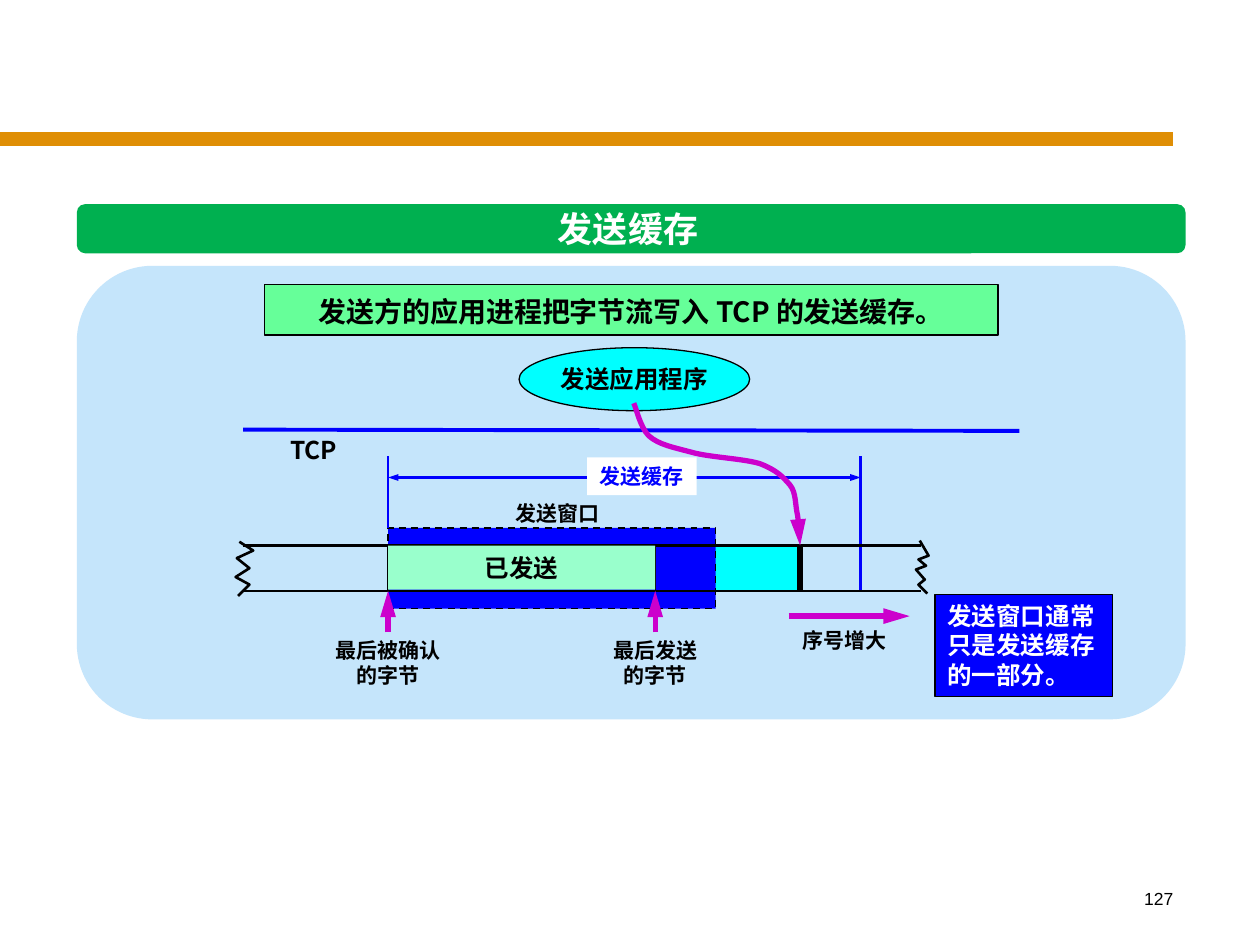
from dataclasses import dataclass

from lxml import etree
from pptx import Presentation
from pptx import util as u
from pptx.dml.color import RGBColor
from pptx.enum import dml, shapes, text
from pptx.oxml import ns

Inches = u.Inches
SHAPE = shapes.MSO_SHAPE


@dataclass(frozen=True)
class Theme:
    font: str = "Noto Sans CJK SC"
    number_font: str = "Arial"
    black: str = "000000"
    white: str = "FFFFFF"
    orange: str = "DF8E05"
    green: str = "00B050"
    panel: str = "C5E5FB"
    lime: str = "66FF99"
    mint: str = "99FFCC"
    cyan: str = "00FFFF"
    blue: str = "0000FF"
    magenta: str = "CC00CC"
    heading: int = 20
    banner: int = 16
    body: int = 14
    label: int = 12
    number: int = 10


T = Theme()
prs = Presentation()
prs.slide_width, prs.slide_height = Inches(10), Inches(7.5)
s = prs.slides.add_slide(prs.slide_layouts[6])


def write(words, at, shape=None, fill=None, edge=None, size=T.label, color=T.black,
          font=T.font, bold=True, align="CENTER", anchor="TOP", wrap=False, spacing=None):
    """Place text in a text box, or in a preset shape when one is given."""
    box = [Inches(v) for v in at]
    if shape is None:
        sp = s.shapes.add_textbox(*box)
    else:
        sp = s.shapes.add_shape(shape, *box)
        sp.shadow.inherit = False
        sp.fill.solid()
        sp.fill.fore_color.rgb = RGBColor.from_string(fill)
        if edge:
            sp.line.color.rgb = RGBColor.from_string(T.black)
            sp.line.width = u.Pt(edge)
        else:
            sp.line.fill.background()
    tf = sp.text_frame
    tf.word_wrap = wrap
    tf.vertical_anchor = text.MSO_ANCHOR[anchor]
    for i, row in enumerate(words.split("\n") if words else []):
        p = tf.paragraphs[0] if i == 0 else tf.add_paragraph()
        p.alignment = text.PP_ALIGN[align]
        p.line_spacing = spacing
        r = p.add_run()
        r.text = row
        r.font.name, r.font.size, r.font.bold = font, u.Pt(size), bold
        r.font.color.rgb = RGBColor.from_string(color)
        etree.SubElement(r.font._element, ns.qn("a:ea"), typeface=font)
    return sp


def stroke(sp, color, width, ends=(), head_w="med", head_len="lg"):
    """Style a connector or outline; ends may name headEnd and tailEnd."""
    sp.line.color.rgb = RGBColor.from_string(color)
    sp.line.width = u.Pt(width)
    props = sp._element.spPr
    for end in ends:
        etree.SubElement(props.find(ns.qn("a:ln")), ns.qn(f"a:{end}"),
                         type="triangle", w=head_w, len=head_len)
    etree.SubElement(props, ns.qn("a:effectLst"))


# Positions along the byte strip
acked, sent, window_end, written, buffer_end = 3.08, 5.2, 5.68, 6.35, 6.83
strip_left, strip_right, top, bottom = 1.93, 7.31, 4.33, 4.69
strip_h = bottom - top
tail = ("tailEnd",)

# Panels, heading and page number
heading_bar = write("", (0.61, 1.62, 8.8, 0.39), SHAPE.ROUNDED_RECTANGLE, T.green)
heading_bar.adjustments[0] = 0.17
write("发送缓存", (4.23, 1.6, 1.51, 0.44), size=T.heading, color=T.white)
write("", (0.61, 2.11, 8.8, 3.6), SHAPE.ROUNDED_RECTANGLE, T.panel)
write("发送方的应用进程把字节流写入 TCP 的发送缓存。", (2.1, 2.26, 5.82, 0.4),
      SHAPE.RECTANGLE, T.lime, 0.75, size=T.banner, wrap=True, spacing=1.1)
write("发送窗口通常只是发送缓存的一部分。", (7.42, 4.72, 1.41, 0.81), SHAPE.RECTANGLE,
      T.blue, 0.75, size=T.body, color=T.white, align="LEFT", wrap=True)
write("127", (7.33, 7, 2.08, 0.5), size=T.number, font=T.number_font,
      bold=False, align="RIGHT", wrap=True)

# Application, written bytes and send window
write("发送应用程序", (4.12, 2.76, 1.83, 0.5), SHAPE.OVAL, T.cyan, 0.75,
      size=T.body, anchor="MIDDLE")
write("", (sent, top, written - sent, strip_h), SHAPE.RECTANGLE, T.cyan)
window = write("", (acked, 4.19, window_end - acked, 0.64), SHAPE.RECTANGLE, T.blue, 1)
window.line.dash_style = dml.MSO_LINE.DASH

# Straight lines: x1, y1, x2, y2, colour, width
lines = [
    (0, 1.1, 9.31, 1.1, T.orange, 8),
    (strip_left, 3.41, 8.09, 3.42, T.blue, 2.25),
    (acked, 3.62, acked, 4.19, T.blue, 1.5),
    (buffer_end, 3.62, buffer_end, bottom, T.blue, 1.5),
    (strip_left, top, strip_right, top, T.black, 1.5),
    (strip_left, bottom, strip_right, bottom, T.black, 1.5),
    (acked, top, acked, bottom, T.black, 0.75),
    (sent, top, sent, bottom, T.black, 0.75),
    (written, top, written, bottom, T.black, 3),
    (acked, 3.79, buffer_end, 3.79, T.blue, 1.5, ("headEnd", "tailEnd"), "sm", "med"),
    (6.26, 4.89, 7.22, 4.89, T.magenta, 3, tail),
]
for x1, y1, x2, y2, *style in lines:
    c = s.shapes.add_connector(shapes.MSO_CONNECTOR.STRAIGHT, Inches(x1), Inches(y1),
                               Inches(x2), Inches(y2))
    stroke(c, *style)

# Sent bytes and labels
write("已发送", (acked, top, sent - acked, 0.35), SHAPE.RECTANGLE, T.mint,
      size=T.body, anchor="MIDDLE")
write("发送缓存", (4.66, 3.63, 0.87, 0.3), SHAPE.RECTANGLE, T.white, color=T.blue)
write("TCP", (2.09, 3.4, 0.8, 0.34), size=T.body)
write("发送窗口", (3.99, 3.92, 0.87, 0.3))
write("序号增大", (6.27, 4.93, 0.87, 0.3))

# Byte pointers with their captions
for x, caption, w in ((acked, "最后被确认\n的字节", 1.03), (sent, "最后发送\n的字节", 0.87)):
    write(caption, (x - w / 2, 5.01, w, 0.5))
    c = s.shapes.add_connector(shapes.MSO_CONNECTOR.STRAIGHT, Inches(x), Inches(5.02),
                               Inches(x), Inches(bottom))
    stroke(c, T.magenta, 3, tail)

# Torn strip ends, and the write path given as Bezier control points
right_tear = [(7.3, 4.29), (7.37, 4.41), (7.29, 4.44), (7.35, 4.49),
              (7.27, 4.52), (7.34, 4.6), (7.29, 4.64), (7.36, 4.71)]
left_tear = [(1.9, 4.3), (2.01, 4.37), (1.88, 4.43), (1.98, 4.51),
             (1.87, 4.58), (1.98, 4.64), (1.89, 4.73)]
write_path = [(5.03, 3.2), (5.05, 3.24), (5.08, 3.39), (5.15, 3.46),
              (5.23, 3.53), (5.34, 3.55), (5.49, 3.59),
              (5.63, 3.63), (5.9, 3.64), (6.03, 3.68),
              (6.16, 3.73), (6.21, 3.78), (6.27, 3.85),
              (6.32, 3.91), (6.31, 4.01), (6.33, 4.09),
              (6.34, 4.17), (6.35, 4.28), (6.35, 4.33)]
for pts, color, width, ends in ((right_tear, T.black, 1.5, ()),
                                (left_tear, T.black, 1.5, ()),
                                (write_path, T.magenta, 3, tail)):
    start, *rest = [(Inches(x), Inches(y)) for x, y in pts]
    fb = s.shapes.build_freeform(*start)
    fb.add_line_segments(rest, close=False)
    sp = fb.convert_to_shape()
    sp.fill.background()
    stroke(sp, color, width, ends)

# Turn each three segments of the write path into one curve
outline = sp._element.find(".//" + ns.qn("a:path"))
segments = outline.findall(ns.qn("a:lnTo"))
for i in range(0, len(segments), 3):
    curve = etree.SubElement(outline, ns.qn("a:cubicBezTo"))
    for seg in segments[i:i + 3]:
        curve.append(seg[0])
        outline.remove(seg)

prs.save("out.pptx")
